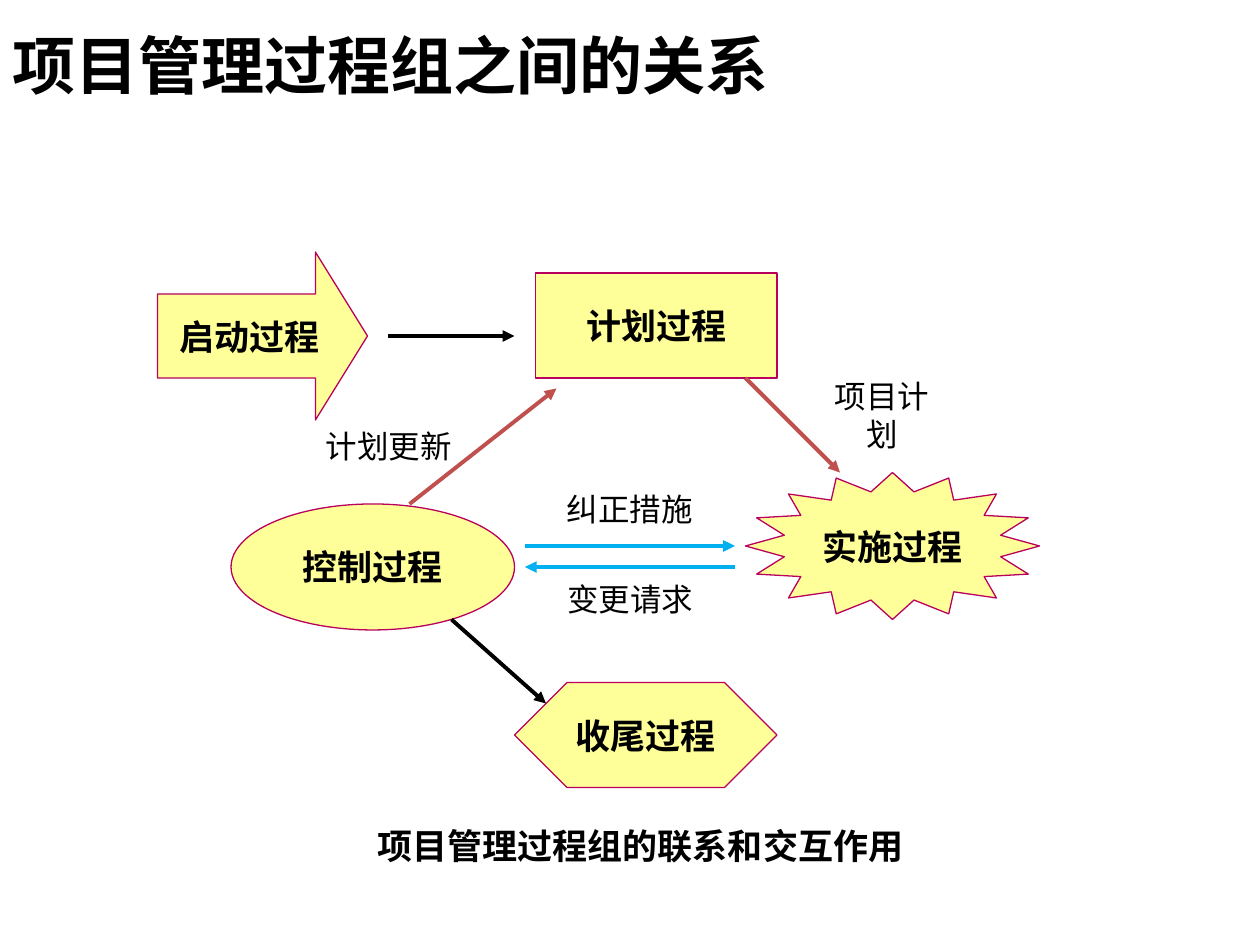
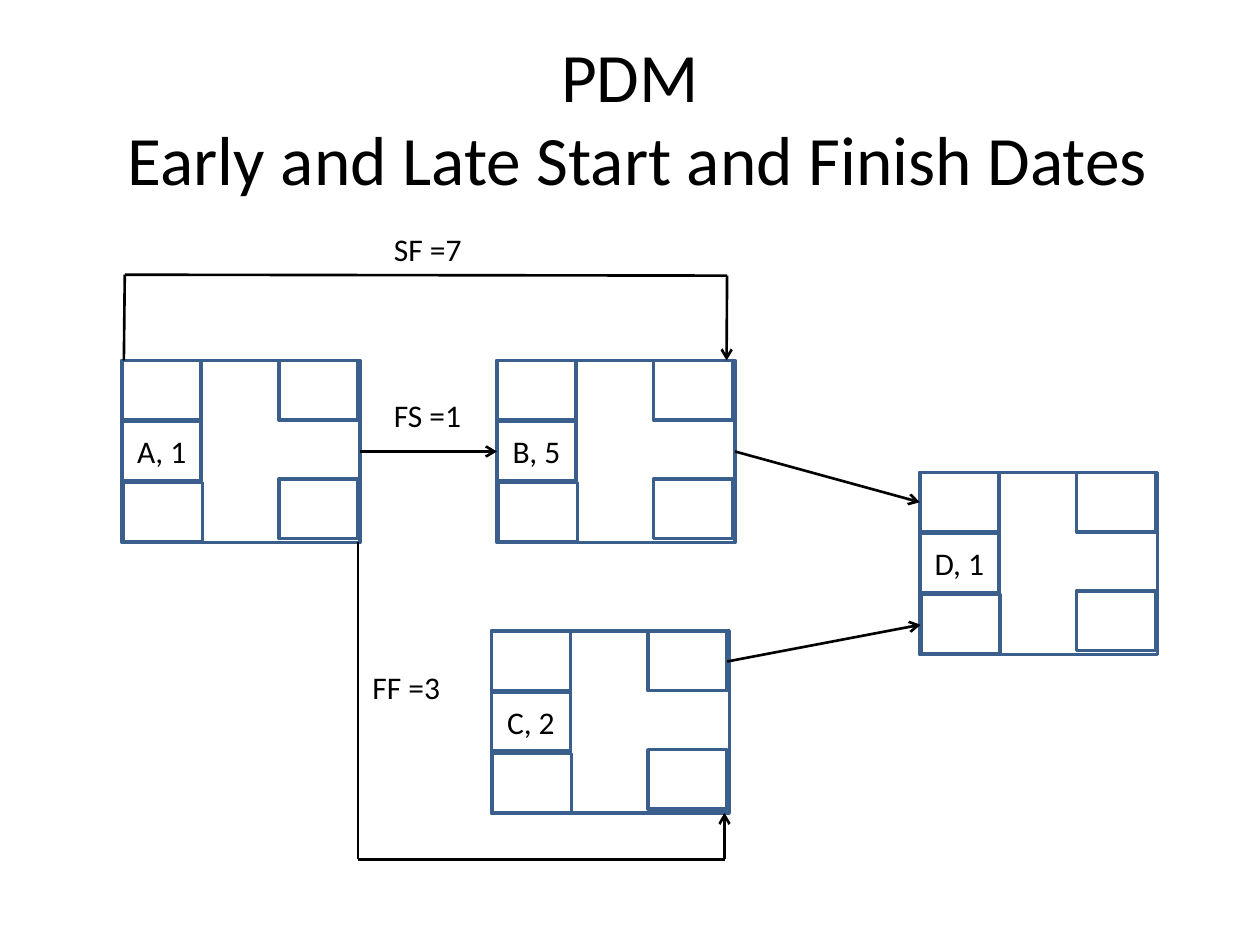
import pptx
import pptx.dml.color
import pptx.enum.shapes
import pptx.enum.text
import pptx.oxml.ns
import pptx.util
import lxml.etree

Pt = pptx.util.Pt
KIND = pptx.enum.shapes.MSO_SHAPE
ALIGN = pptx.enum.text.PP_ALIGN
ANCHOR = pptx.enum.text.MSO_ANCHOR
COLORS = {
    "ink": "000000",
    "cream": "FFFF99",
    "plum": "B8005C",
    "red": "C0504D",
    "sky": "00B0F0",
    "navy": "3A5F8C",
}
SERIF = "Times New Roman"


def tint(name):
    return pptx.dml.color.RGBColor.from_string(COLORS[name])


def write(shape, text, size=18, font="Calibri", bold=False, align=ALIGN.CENTER,
          anchor=ANCHOR.MIDDLE, wrap=False, space=None):
    frame = shape.text_frame
    frame.word_wrap = wrap
    frame.vertical_anchor = anchor
    line = frame.paragraphs[0]
    line.text = text
    line.alignment = align
    line.line_spacing = space
    for run in line.runs:
        run.font.size = Pt(size)
        run.font.name = font
        run.font.bold = bold
        run.font.color.rgb = tint("ink")


class Deck:
    def __init__(self):
        self.show = pptx.Presentation()
        self.show.slide_width = Pt(720)
        self.show.slide_height = Pt(540)

    def slide(self):
        self.shapes = self.show.slides.add_slide(self.show.slide_layouts[6]).shapes

    def text(self, box, text, **style):
        write(self.shapes.add_textbox(*map(Pt, box)), text, **style)

    def shape(self, kind, box, fill=None, edge="navy", width=2):
        shape = self.shapes.add_shape(kind, *map(Pt, box))
        shape.shadow.inherit = False
        if fill:
            shape.fill.solid()
            shape.fill.fore_color.rgb = tint(fill)
        else:
            shape.fill.background()
        shape.line.color.rgb = tint(edge)
        shape.line.width = Pt(width)
        return shape

    def route(self, *points, color="ink", width=1.5, tip="arrow"):
        """Join the points by straight lines, with an arrowhead at the last."""
        for start, end in zip(points, points[1:]):
            link = self.shapes.add_connector(
                pptx.enum.shapes.MSO_CONNECTOR.STRAIGHT, *map(Pt, start + end))
            link.line.color.rgb = tint(color)
            link.line.width = Pt(width)
            props = link._element.spPr
            lxml.etree.SubElement(props, pptx.oxml.ns.qn("a:effectLst"))
        tail = lxml.etree.SubElement(link.line._get_or_add_ln(),
                                     pptx.oxml.ns.qn("a:tailEnd"))
        tail.set("type", tip)

    def node(self, left, top, label):
        """Draw an activity box with four date cells and a label cell."""
        wide, high = 45.2, 34
        right = left + 89.5
        self.shape(KIND.RECTANGLE, (left, top, 136, 104))
        for x, y in ((left, top), (right, top + 67.7), (right, top),
                     (left + 0.7, top + 69.8)):
            self.shape(KIND.RECTANGLE, (x, y, wide, high))
        cell = self.shape(KIND.RECTANGLE, (left, top + 34.6, wide, high))
        write(cell, label)


def groups(deck):
    deck.slide()
    steps = (
        (KIND.RIGHT_ARROW, (90, 144, 120, 96), "启动过程"),
        (KIND.RECTANGLE, (306, 156, 138, 60), "计划过程"),
        (KIND.OVAL, (132, 288, 162, 72), "控制过程"),
        (KIND.STAR_16_POINT, (426, 270, 168, 84), "实施过程"),
        (KIND.FLOWCHART_PREPARATION, (294, 390, 150, 60), "收尾过程"),
    )
    for kind, box, name in steps:
        step = deck.shape(kind, box, fill="cream", edge="plum", width=0.75)
        if kind == KIND.RIGHT_ARROW:
            step.adjustments[1] = 0.31
        write(step, name, size=20, font=SERIF, bold=True)

    flows = (
        ((222, 192), (294, 192), "ink"),
        ((234, 288), (318, 222), "red"),
        ((426, 216), (480, 270), "red"),
        ((300, 312), (420, 312), "sky"),
        ((420, 324), (300, 324), "sky"),
        ((258, 354), (312, 402), "ink"),
    )
    for start, end, color in flows:
        deck.route(start, end, color=color, width=2.25, tip="triangle")

    labels = (
        ((174, 240, 96, 30), "计划更新"),
        ((462, 222, 84, 30), "项目计划"),
        ((306, 276, 108, 30), "纠正措施"),
        ((312, 330, 96, 24), "变更请求"),
    )
    for box, label in labels:
        deck.text(box, label, font=SERIF)
    deck.text((168, 468, 396, 30), "项目管理过程组的联系和交互作用",
              size=20, font=SERIF, bold=True)
    deck.text((0, 0, 695, 80.6), "项目管理过程组之间的关系", size=36, bold=True,
              align=ALIGN.LEFT, wrap=True, space=0.85)


def dates(deck):
    deck.slide()
    deck.text((36, 21.6, 648, 90), "PDM\v Early and Late Start and Finish Dates",
              size=39.6, wrap=True)
    nodes = ((69.8, 206, "A, 1"), (284, 206, "B, 5"),
             (280.8, 360.7, "C, 2"), (525.6, 270, "D, 1"))
    for left, top, label in nodes:
        deck.node(left, top, label)

    deck.route((206, 258), (284, 258))
    deck.route((420, 258), (525.6, 287))
    deck.route((415.5, 378), (526, 357))
    deck.route((204.5, 310), (204.5, 491), (414, 491), (414, 464.5))
    deck.route((70.8, 206), (71.3, 157), (415.5, 157.5), (415.2, 206))

    for left, top, label in ((218, 128, "SF =7"), (218, 222.5, "FS =1"),
                             (205.7, 378, "FF =3")):
        deck.text((left, top, 54, 29), label, align=ALIGN.LEFT, anchor=ANCHOR.TOP)


def main():
    deck = Deck()
    groups(deck)
    dates(deck)
    deck.show.save("out.pptx")


if __name__ == "__main__":
    main()
